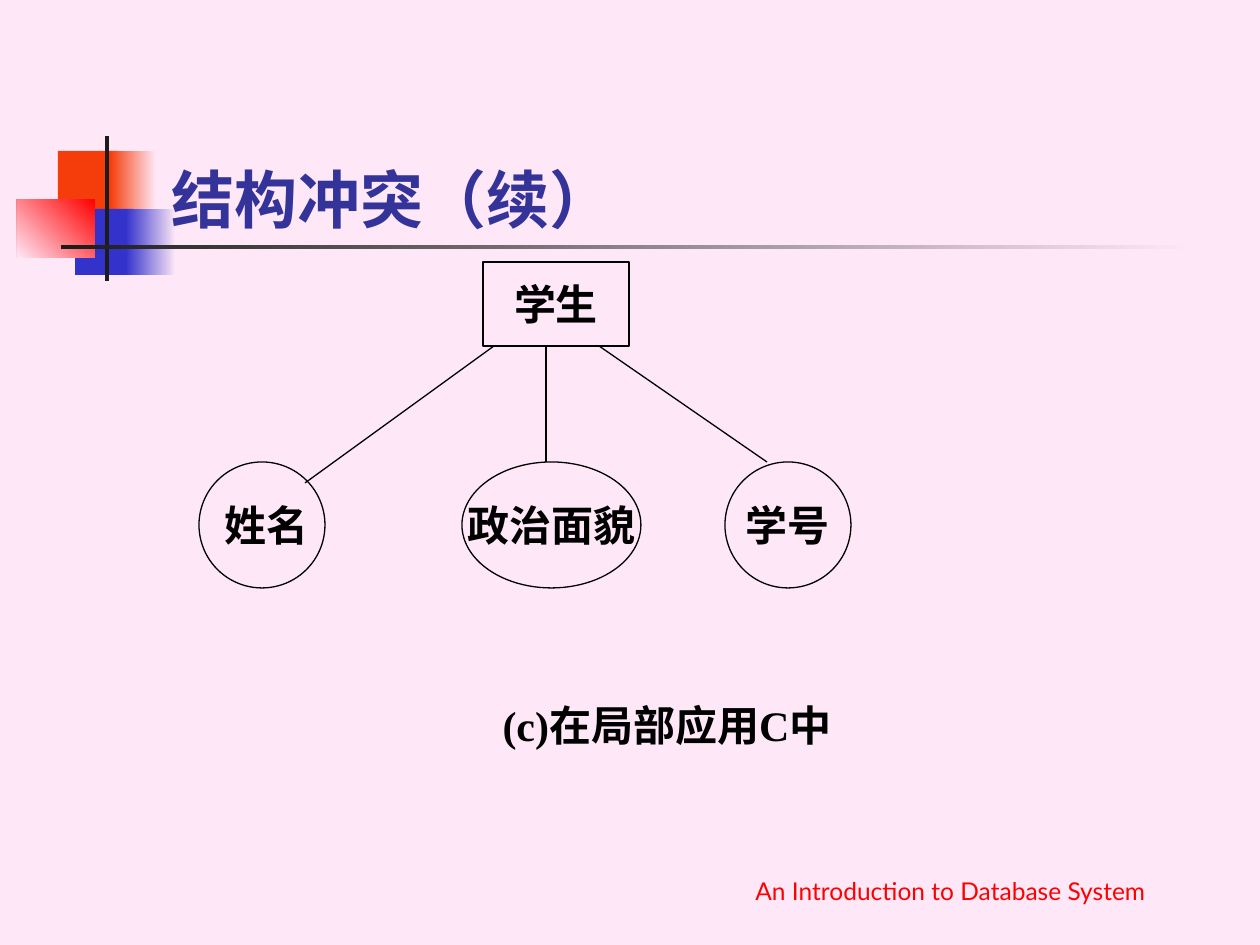
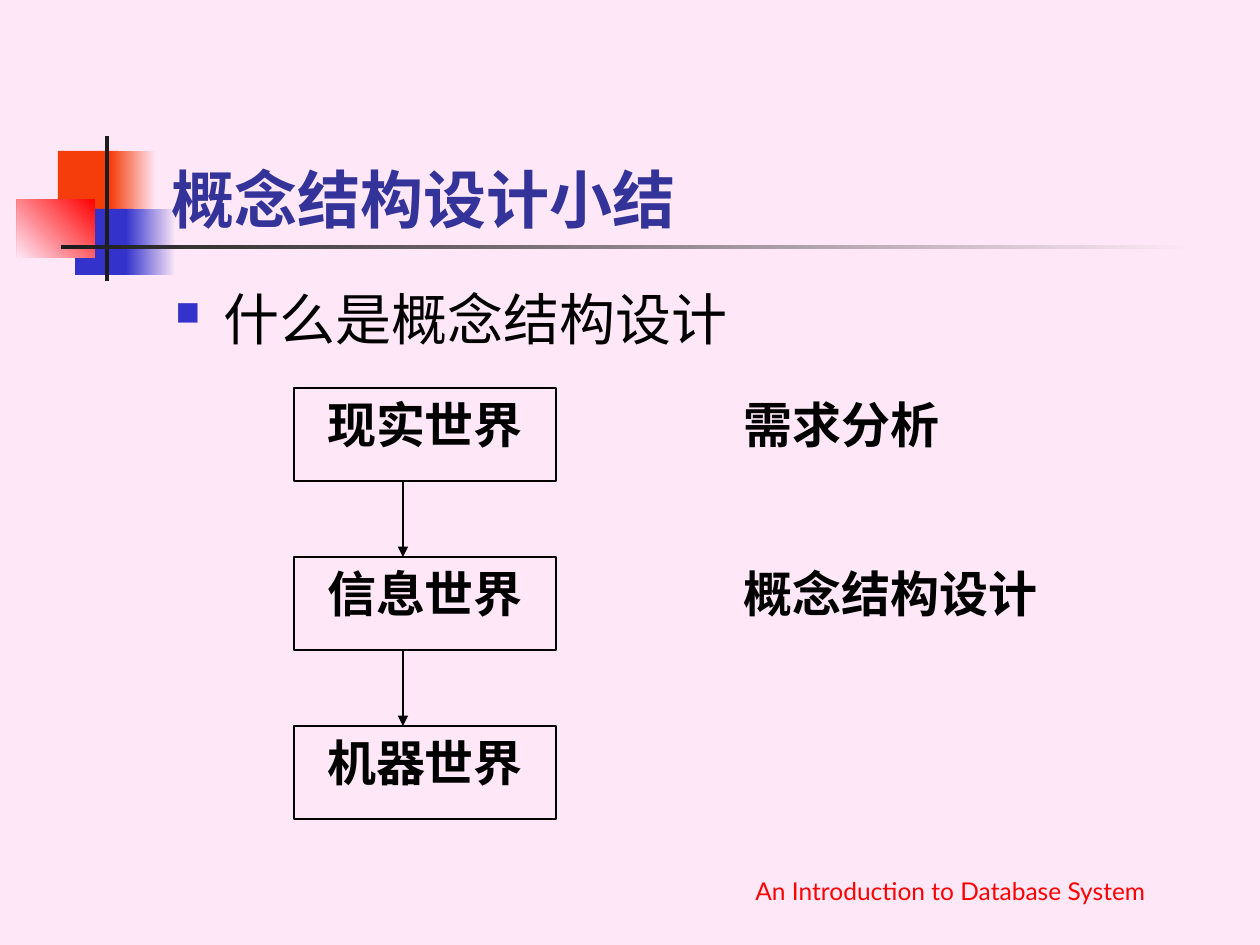
"""Build two database design slides that share a title band and a footer."""
import pptx
import pptx.util
import pptx.dml.color
import pptx.enum.shapes
import pptx.enum.text
import pptx.oxml.ns
from lxml import etree

PX = 914400 / 126
RECT = pptx.enum.shapes.MSO_SHAPE.RECTANGLE
OVAL = pptx.enum.shapes.MSO_SHAPE.OVAL
ANCHOR = pptx.enum.text.MSO_ANCHOR
ALIGN = pptx.enum.text.PP_ALIGN
PINK, BLACK, BLUE, DARK = "FEE8F7", "000000", "3333CC", "1C1C1C"
ORANGE, RED, NAVY = "F53D0B", "FF0000", "333399"
SERIF, SANS = "Times New Roman", "Lato"
hue = pptx.dml.color.RGBColor.from_string
qn = pptx.oxml.ns.qn


def put(slide, kind, box, text, size, align=ALIGN.CENTER, anchor=ANCHOR.MIDDLE,
        wrap=False, font=SERIF, bold=True, color=BLACK):
    """Add a text box, or an outlined shape of the given kind, with one paragraph."""
    place = [round(n * PX) for n in box]
    if kind is None:
        shape = slide.shapes.add_textbox(*place)
    else:
        shape = slide.shapes.add_shape(kind, *place)
        shape.shadow.inherit = False
        shape.fill.background()
        shape.line.color.rgb = hue(BLACK)
        shape.line.width = pptx.util.Pt(0.75)
    frame = shape.text_frame
    frame.word_wrap = wrap
    frame.vertical_anchor = anchor
    para = frame.paragraphs[0]
    para.text = text
    para.alignment = align
    para.font.name = font
    para.font.size = pptx.util.Pt(size)
    para.font.bold = bold
    para.font.color.rgb = hue(color)
    return para


def link(slide, ends, arrow=False):
    """Add a thin black line from the first point to the second."""
    line = slide.shapes.add_connector(pptx.enum.shapes.MSO_CONNECTOR.STRAIGHT,
                                      *[round(n * PX) for n in ends])
    line.line.color.rgb = hue(BLACK)
    line.line.width = pptx.util.Pt(0.75)
    if arrow:
        etree.SubElement(line.line._get_or_add_ln(), qn("a:tailEnd"), type="triangle")
    etree.SubElement(line.element.spPr, qn("a:effectLst"))


deck = pptx.Presentation()
deck.slide_width = round(1260 * PX)
deck.slide_height = round(945 * PX)
back = deck.slide_master.background.fill
back.solid()
back.fore_color.rgb = hue(PINK)
layout = deck.slide_layouts[5]

slides = []
for name in ["结构冲突（续）", "概念结构设计小结"]:
    slide = deck.slides.add_slide(layout)
    title = slide.shapes.title
    title.left, title.top, title.width, title.height = [
        round(n * PX) for n in (159, 84, 1073, 158)]
    title.text_frame.text = name
    title.text_frame.vertical_anchor = ANCHOR.BOTTOM
    para = title.text_frame.paragraphs[0]
    para.alignment = ALIGN.LEFT
    para.font.name = SANS
    para.font.size = pptx.util.Pt(36)
    para.font.bold = True
    para.font.color.rgb = hue(NAVY)
    slides.append(slide)
first, second = slides

bands = [
    ((58, 151, 60, 66), [ORANGE], 0),
    ((110, 151, 46, 66), [PINK, ORANGE], 180),
    ((75, 209, 58, 66), [BLUE], 0),
    ((126, 209, 50, 66), [PINK, BLUE], 180),
    ((17, 199, 78, 59), [RED, PINK], 225),
    ((105, 136, 4, 145), [DARK], 0),
    ((61, 245, 1134, 4), [PINK, DARK], 180),
]
for i, (box, tints, angle) in enumerate(bands):
    band = first.shapes.add_shape(RECT, *[round(n * PX) for n in box])
    band.shadow.inherit = False
    band.line.fill.background()
    if len(tints) == 1:
        band.fill.solid()
        band.fill.fore_color.rgb = hue(tints[0])
    else:
        band.fill.gradient()
        band.fill.gradient_angle = angle
        for stop, tint in zip(band.fill.gradient_stops, tints):
            stop.color.rgb = hue(tint)
    band.element.nvSpPr.cNvPr.set("id", str(100 + i))
    layout.shapes.element.insert(2 + i, band.element)

put(first, RECT, (483, 262, 146, 84), "学生", 24)
for x, width, text in [(725, 126, "学号"), (199, 126, " 姓名"), (462, 179, " 政治面貌 ")]:
    put(first, OVAL, (x, 462, width, 126), text, 24)
for ends in [(494, 346, 305, 483), (599, 346, 767, 462), (546, 346, 546, 462)]:
    link(first, ends)
put(first, None, (462, 683, 410, 84), "(c)在局部应用C中", 24)

topic = put(second, None, (163, 278, 1071, 100), "什么是概念结构设计", 32,
            ALIGN.LEFT, ANCHOR.TOP, True, SANS, False)
props = topic._p.get_or_add_pPr()
props.set("marL", str(round(48 * PX)))
props.set("indent", str(round(-48 * PX)))
tint = etree.Element(qn("a:buClr"))
etree.SubElement(tint, qn("a:srgbClr"), val=BLUE)
marks = [tint, etree.Element(qn("a:buSzPct"), val="60000"),
         etree.Element(qn("a:buChar"), char="■")]
for i, mark in enumerate(marks):
    props.insert(i, mark)

step, tall = 169, 93
worlds = [("现实世界", "需求分析", 241), ("信息世界", "概念结构设计", 372),
          ("机器世界", None, 0)]
for i, (world, task, width) in enumerate(worlds):
    y = 388 + i * step
    put(second, RECT, (294, y, 262, tall), world, 28, anchor=ANCHOR.TOP, wrap=True)
    if task:
        link(second, (403, y + tall, 403, y + step), True)
        put(second, None, (731, y, width, 74), task, 28, ALIGN.JUSTIFY, ANCHOR.TOP, True)

for slide in slides:
    put(slide, None, (693, 849, 515, 63), "An Introduction to Database System", 14,
        anchor=ANCHOR.BOTTOM, wrap=True, font=SANS, bold=False, color=RED)

deck.save("out.pptx")
